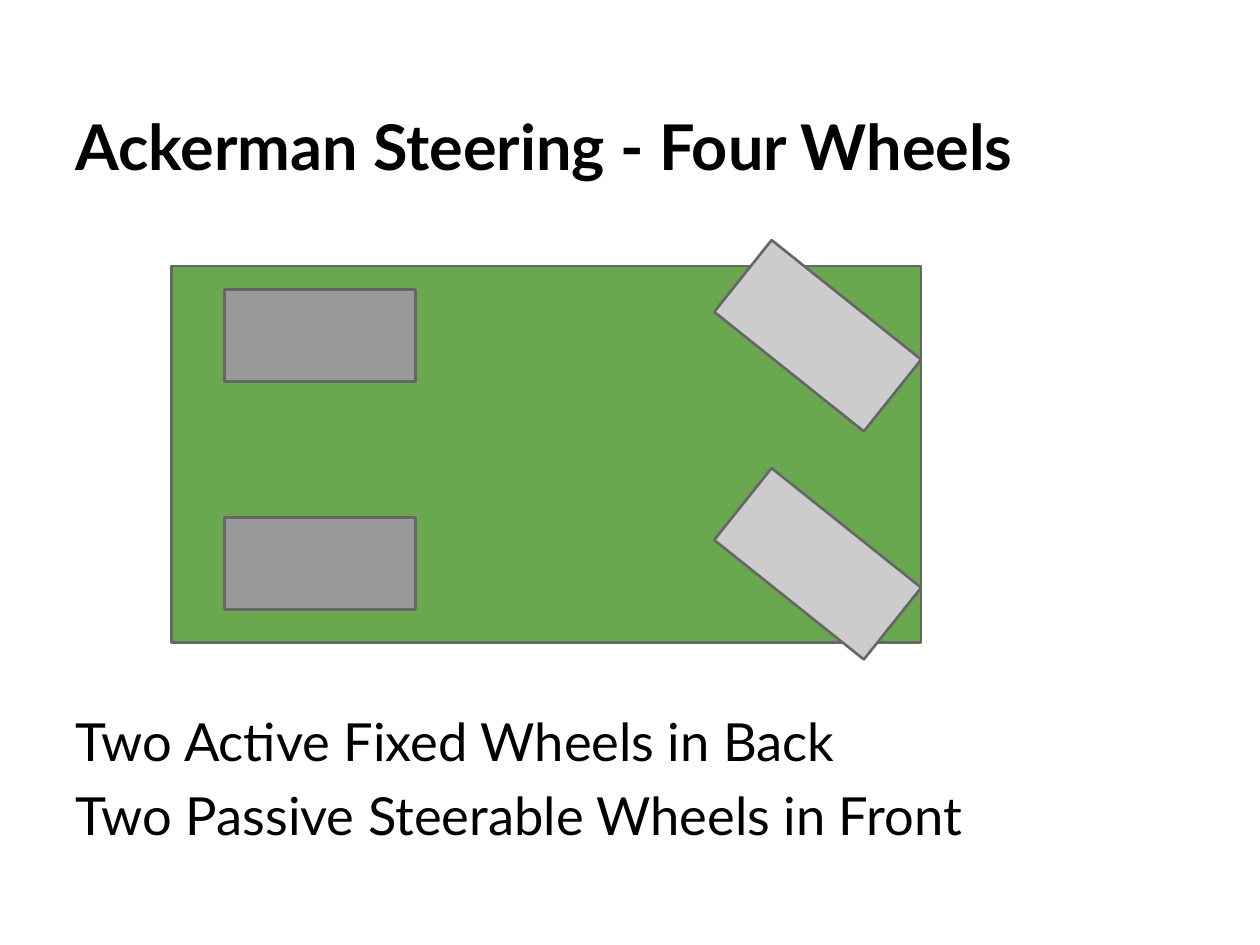
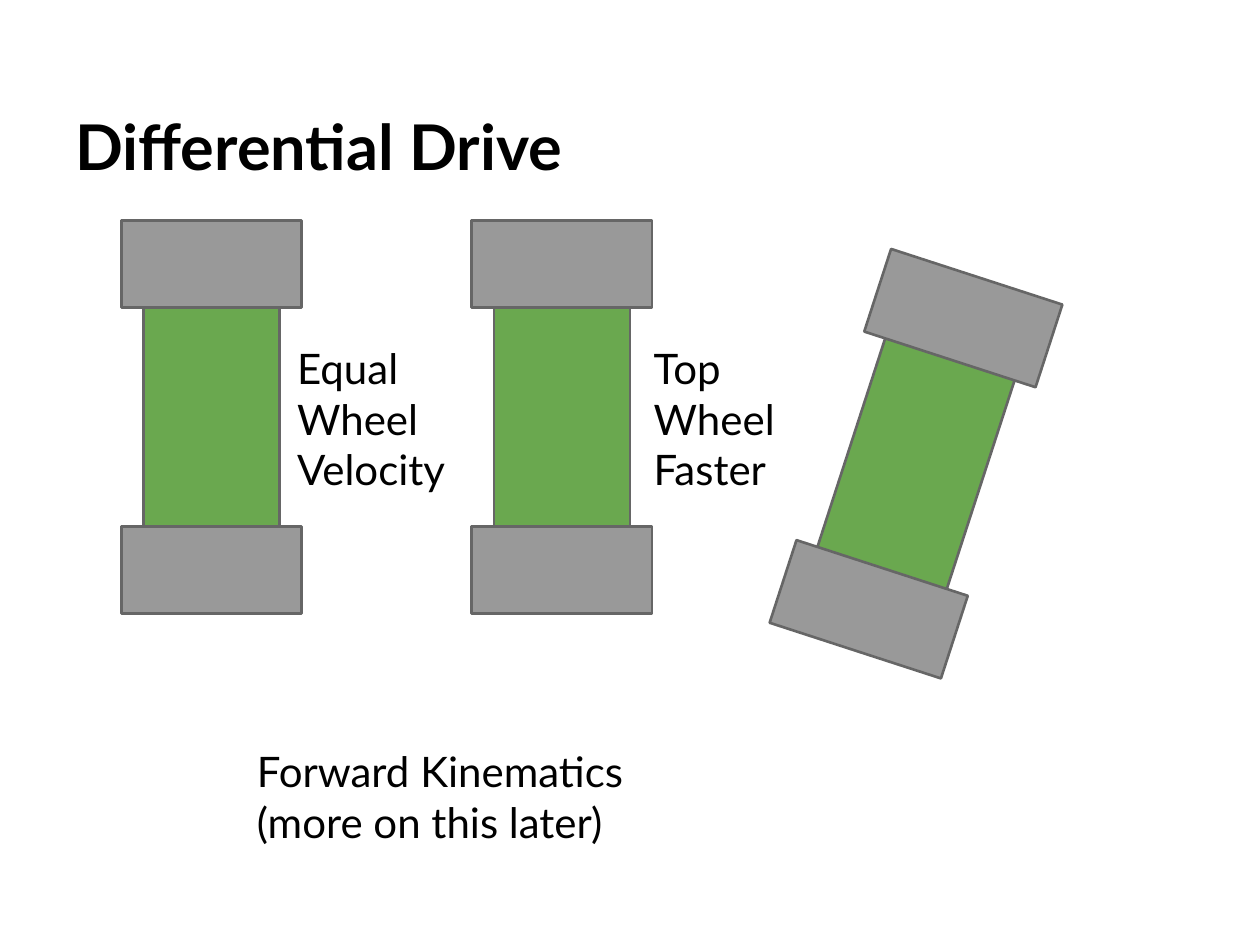
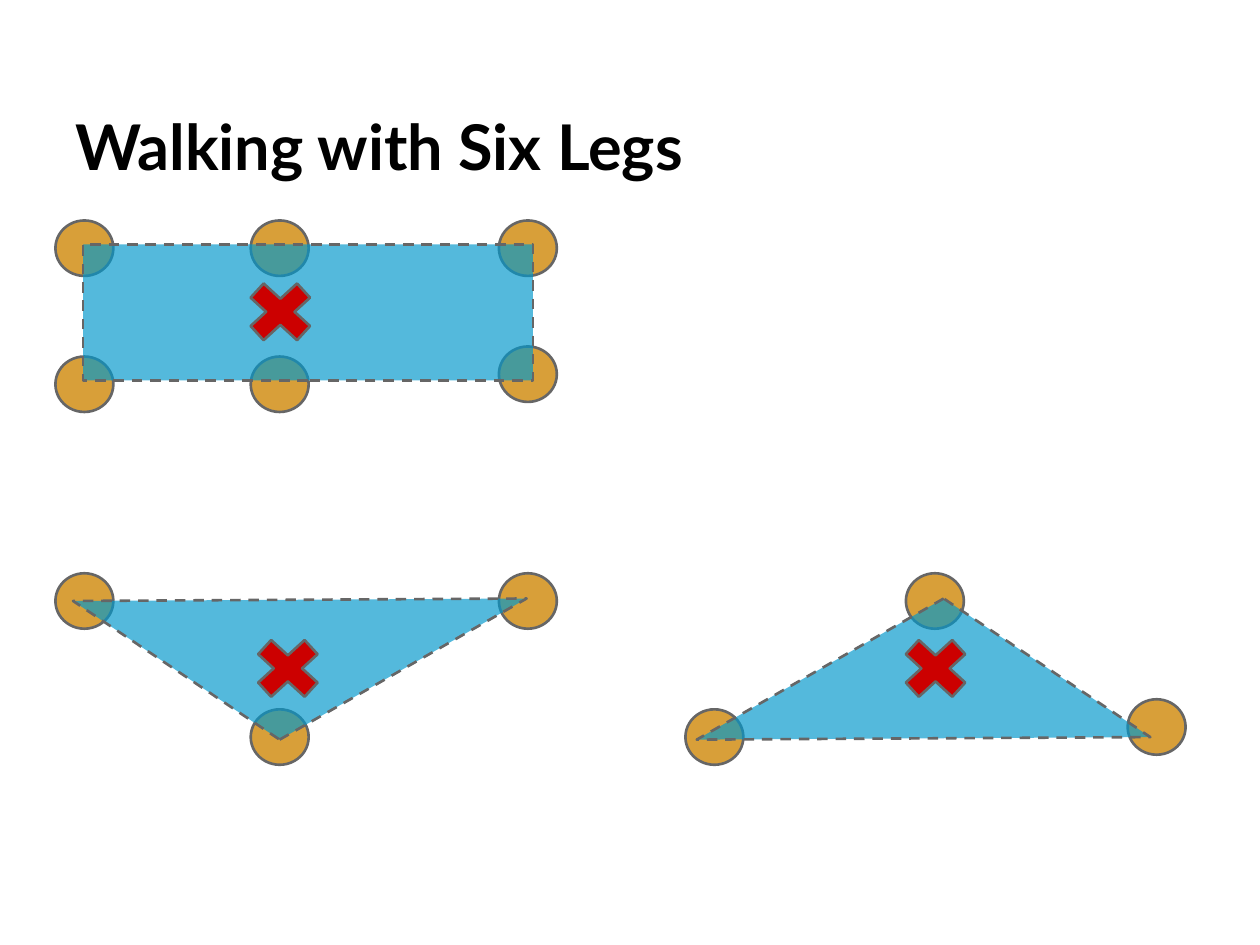
from dataclasses import dataclass
from math import cos, radians, sin

from lxml import etree
from pptx import Presentation, util as u
from pptx.dml.color import RGBColor
from pptx.enum import dml, shapes, text
from pptx.oxml import ns

COLOURS = {
    "text": "000000",
    "outline": "666666",
    "chassis": "6AA84F",
    "drive wheel": "999999",
    "steered wheel": "CCCCCC",
    "foot": "D89F39",
    "support": "0098CC",
    "mass centre": "CC0000",
}
FONT = "Lato"
RECTANGLE = shapes.MSO_SHAPE.RECTANGLE
OVAL = shapes.MSO_SHAPE.OVAL
CROSS = shapes.MSO_SHAPE.MATH_MULTIPLY


@dataclass(frozen=True)
class Part:
    width: float
    height: float
    colour: str
    preset: shapes.MSO_SHAPE = RECTANGLE


@dataclass(frozen=True)
class Caption:
    left: float
    top: float
    width: float
    height: float
    lines: tuple[str, ...]
    size: int = 24
    bold: bool = False
    space_before: int = 0
    anchor: text.MSO_ANCHOR = text.MSO_ANCHOR.TOP


@dataclass(frozen=True)
class Robot:
    x: float
    y: float
    angle: float = 0


CAR_BODY = Part(5.95, 2.99, "chassis")
BACK_WHEEL = Part(1.52, 0.73, "drive wheel")
FRONT_WHEEL = Part(1.52, 0.73, "steered wheel")
AXLE = Part(1.08, 2.47, "chassis")
SIDE_WHEEL = Part(1.43, 0.69, "drive wheel")
FOOT = Part(0.46, 0.44, "foot", OVAL)
SUPPORT_BOX = Part(3.57, 1.08, "support")
MASS_CENTRE = Part(0.71, 0.65, "mass centre", CROSS)

STEERING_ANGLE = 38.6
WHEEL_OFFSET = 1.215
ROBOTS = (Robot(1.68, 3.31), Robot(4.46, 3.31), Robot(7.27, 3.68, 18))

FEET = (
    (0.44, 2.83), (3.96, 2.75), (3.96, 1.75), (0.44, 1.75), (1.99, 2.83), (1.99, 1.75),
    (5.44, 5.63), (8.95, 5.55), (3.96, 4.55), (1.99, 5.63), (7.19, 4.55), (0.44, 4.55),
)
SUPPORT_TRIANGLES = (
    ((2.22, 5.87), (4.18, 4.75), (0.58, 4.77)),
    ((7.49, 4.75), (5.53, 5.87), (9.13, 5.85)),
)
MASS_CENTRES = ((1.87, 2.15), (1.93, 4.98), (7.07, 4.98))


def set_attributes(target, values: dict) -> None:
    for name, value in values.items():
        setattr(target, name, value)


def rgb(name: str) -> RGBColor:
    return RGBColor.from_string(COLOURS[name])


def paint(shape, colour: str) -> None:
    shape.shadow.inherit = False
    shape.fill.solid()
    shape.fill.fore_color.rgb = rgb(colour)
    shape.line.width = u.Pt(1.5)
    shape.line.color.rgb = rgb("outline")


def make_support(shape) -> None:
    shape.line.dash_style = dml.MSO_LINE.DASH
    fill_colour = shape._element.spPr.find(ns.qn("a:solidFill"))[0]
    etree.SubElement(fill_colour, ns.qn("a:alpha"), val="67000")


def add_part(container, part: Part, left: float, top: float, angle: float = 0):
    box = (u.Inches(value) for value in (left, top, part.width, part.height))
    shape = container.shapes.add_shape(part.preset, *box)
    shape.rotation = angle
    paint(shape, part.colour)
    return shape


def add_centred(container, part: Part, x: float, y: float, angle: float) -> None:
    add_part(container, part, x - part.width / 2, y - part.height / 2, angle)


def add_caption(slide, caption: Caption) -> None:
    box = (caption.left, caption.top, caption.width, caption.height)
    frame = slide.shapes.add_textbox(*map(u.Inches, box)).text_frame
    margins = dict.fromkeys(
        ("margin_left", "margin_top", "margin_right", "margin_bottom"), u.Inches(0.1)
    )
    set_attributes(frame, margins | {"word_wrap": True, "vertical_anchor": caption.anchor})
    for index, line in enumerate(caption.lines):
        paragraph = frame.add_paragraph() if index else frame.paragraphs[0]
        if index:
            paragraph.space_before = u.Pt(caption.space_before)
        run = paragraph.add_run()
        run.text = line
        set_attributes(
            run.font, {"name": FONT, "size": u.Pt(caption.size), "bold": caption.bold}
        )
        run.font.color.rgb = rgb("text")


def add_titled_slide(presentation, title: str):
    slide = presentation.slides.add_slide(presentation.slide_layouts[6])
    add_caption(
        slide,
        Caption(0.5, 0.3, 9, 1.25, (title,), 36, True, anchor=text.MSO_ANCHOR.BOTTOM),
    )
    return slide


def add_robot(slide, robot: Robot) -> None:
    group = slide.shapes.add_group_shape()
    add_centred(group, AXLE, robot.x, robot.y, robot.angle)
    turn = radians(robot.angle)
    for offset in (-WHEEL_OFFSET, WHEEL_OFFSET):
        x = robot.x - offset * sin(turn)
        y = robot.y + offset * cos(turn)
        add_centred(group, SIDE_WHEEL, x, y, robot.angle)


def add_support_triangle(slide, corners: tuple[tuple[float, float], ...]) -> None:
    start, *others = [(u.Inches(x), u.Inches(y)) for x, y in corners]
    builder = slide.shapes.build_freeform(*start)
    builder.add_line_segments(others, close=True)
    shape = builder.convert_to_shape()
    paint(shape, "support")
    make_support(shape)


def build_ackerman(presentation) -> None:
    slide = add_titled_slide(presentation, "Ackerman Steering - Four Wheels")
    lines = ("Two Active Fixed Wheels in Back", "Two Passive Steerable Wheels in Front")
    add_caption(slide, Caption(0.5, 5.53, 9, 1.66, lines, 30, space_before=6))
    add_part(slide, CAR_BODY, 1.36, 2.11)
    for top in (2.3, 4.11):
        add_part(slide, BACK_WHEEL, 1.78, top)
        add_part(slide, FRONT_WHEEL, 5.73, top, STEERING_ANGLE)


def build_differential(presentation) -> None:
    slide = add_titled_slide(presentation, "Differential Drive")
    for robot in ROBOTS:
        add_robot(slide, robot)
    for left, words in ((2.26, "Equal Wheel Velocity"), (5.09, "Top Wheel Faster")):
        add_caption(slide, Caption(left, 2.62, 1.63, 1, (words,)))
    lines = ("Forward Kinematics", "(more on this later)")
    add_caption(slide, Caption(1.94, 5.82, 5.35, 1, lines))


def build_six_legs(presentation) -> None:
    slide = add_titled_slide(presentation, "Walking with Six Legs")
    for left, top in FEET:
        add_part(slide, FOOT, left, top)
    make_support(add_part(slide, SUPPORT_BOX, 0.66, 1.94))
    for corners in SUPPORT_TRIANGLES:
        add_support_triangle(slide, corners)
    for left, top in MASS_CENTRES:
        add_part(slide, MASS_CENTRE, left, top).adjustments[0] = 0.235


def main() -> None:
    presentation = Presentation()
    set_attributes(
        presentation, {"slide_width": u.Inches(10), "slide_height": u.Inches(7.5)}
    )
    for build in (build_ackerman, build_differential, build_six_legs):
        build(presentation)
    presentation.save("out.pptx")


if __name__ == "__main__":
    main()
